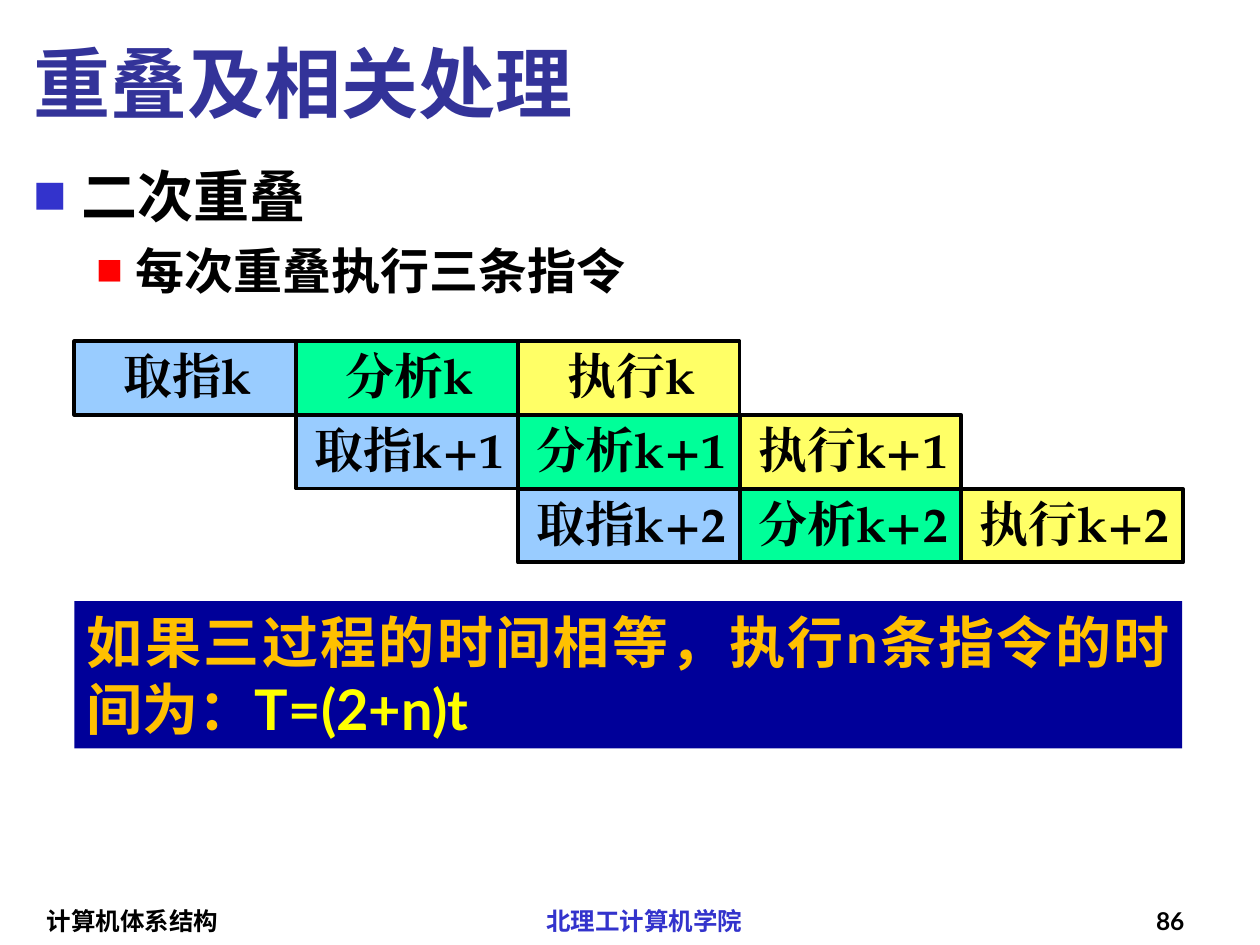
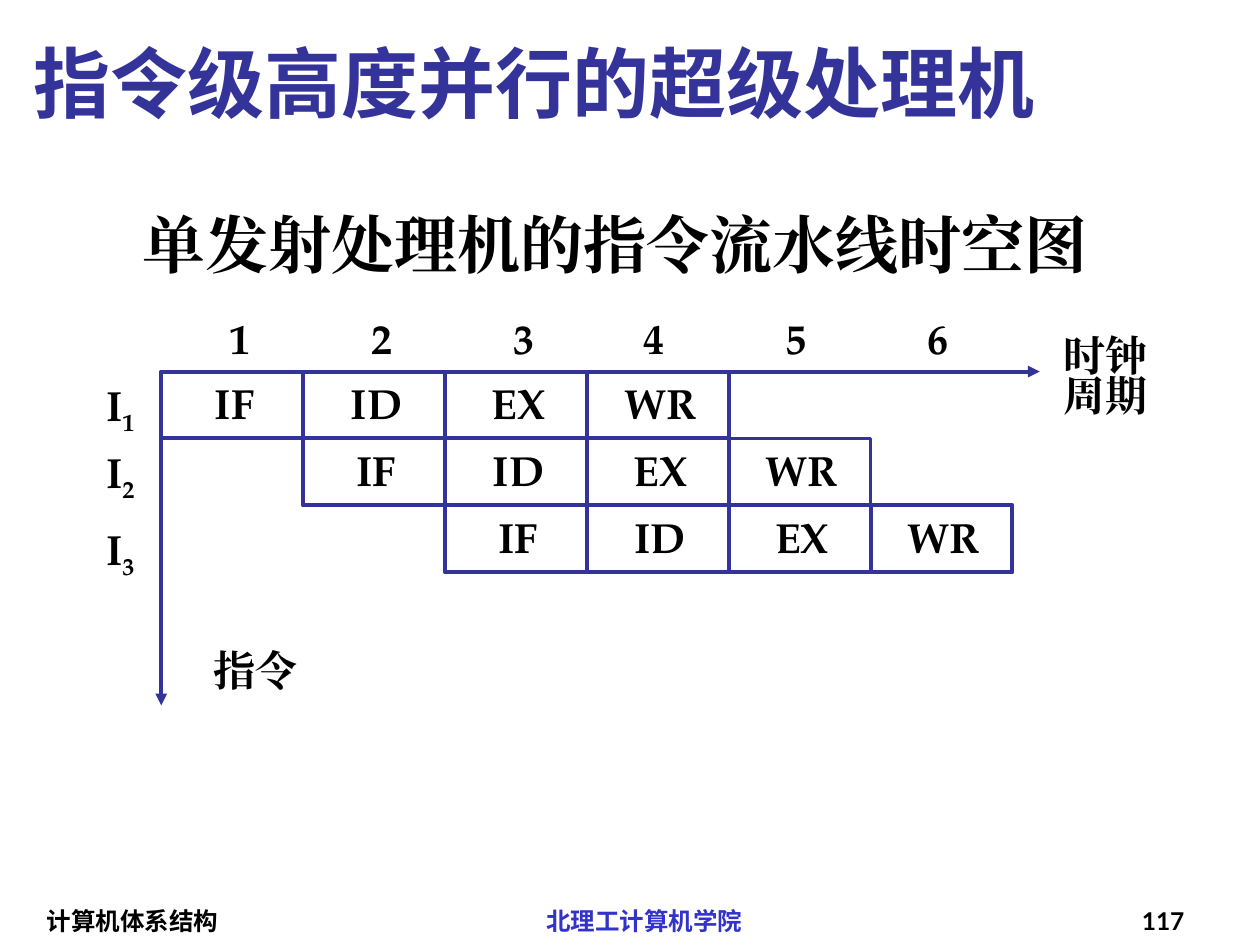
import dataclasses

import lxml.etree
import pptx
import pptx.dml.color
import pptx.enum.shapes
import pptx.enum.text
import pptx.oxml.ns
import pptx.util

Cm = pptx.util.Cm
Pt = pptx.util.Pt
ALIGN = pptx.enum.text.PP_ALIGN
ANCHOR = pptx.enum.text.MSO_ANCHOR
qn = pptx.oxml.ns.qn


@dataclasses.dataclass(frozen=True)
class Theme:
    ink: str = "000000"
    title: str = "333399"
    accent: str = "3333CC"
    red: str = "FF0000"
    band: str = "000099"
    gold: str = "FFC000"
    yellow: str = "FFFF00"
    stages: tuple = ("99CCFF", "00FF99", "FFFF66")
    sans: str = "Lato"
    serif: str = "TeX Gyre Pagella"
    cjk: str = "Noto Sans CJK SC"
    title_size: int = 44
    caption_size: int = 36
    large: int = 32
    medium: int = 28
    small: int = 24
    footer_size: int = 14
    line: float = 2.25


THEME = Theme()

# Content (lengths in centimetres; areas are left, top, width, height)
COURSE = "计算机体系结构"
SCHOOL = "北理工计算机学院"

OVERLAP = {
    "title": "重叠及相关处理",
    "number": "86",
    # text, size, bullet colour, bullet percent, indent, hanging, space before
    "points": [
        ("二次重叠", THEME.large, THEME.accent, 60, 0.97, 0.97, 0),
        ("每次重叠执行三条指令", THEME.medium, THEME.red, 55, 2.06, 0.79, 7),
    ],
    "stages": ["取指", "分析", "执行"],
    "instructions": ["k", "k+1", "k+2"],
    "band": [("如果三过程的时间相等，执行n条指令的时间为：", THEME.gold),
             ("T=(2+n)t", THEME.yellow)],
}

PIPELINE = {
    "title": "指令级高度并行的超级处理机",
    "number": "117",
    "caption": "单发射处理机的指令流水线时空图",
    "stages": ["IF", "ID", "EX", "WR"],
    # instruction number and top of its label
    "instructions": [("1", 7.49), ("2", 8.84), ("3", 10.39)],
    # cycle number and offset of its label from the column
    "cycles": [("1", 0.66), ("2", 0.66), ("3", 0.66),
               ("4", 0.43), ("5", 0.43), ("6", 0.43)],
    "time_axis": "时钟\v周期",
    "instruction_axis": "指令",
}


def rgb(value):
    return pptx.dml.color.RGBColor.from_string(value)


def style_span(span, size, color, face, east_face=None):
    """Bold text; the East Asian face follows the Latin one unless given."""
    span.font.size = Pt(size)
    span.font.bold = True
    span.font.color.rgb = rgb(color)
    span.font.name = face
    latin = span.font._element.find(qn("a:latin"))
    east = lxml.etree.Element(qn("a:ea"), typeface=east_face or face)
    latin.addnext(east)


def set_frame(shape, anchor, insets, wrap):
    frame = shape.text_frame
    frame.auto_size = pptx.enum.text.MSO_AUTO_SIZE.NONE
    frame.word_wrap = wrap
    frame.vertical_anchor = anchor
    (frame.margin_left, frame.margin_top,
     frame.margin_right, frame.margin_bottom) = map(Cm, insets)
    return frame


def add_text(page, area, text, size, color=THEME.ink, face=THEME.sans,
             align=ALIGN.LEFT, anchor=ANCHOR.BOTTOM, east_face=None):
    box = page.shapes.add_textbox(*map(Cm, area))
    frame = set_frame(box, anchor, (0.25, 0.13, 0.25, 0.13), True)
    frame.text = text
    para = frame.paragraphs[0]
    para.alignment = align
    style_span(para.runs[0], size, color, face, east_face)
    return box


def fill_label(shape, text, size):
    """Centred serif label used throughout the diagrams."""
    frame = set_frame(shape, ANCHOR.MIDDLE, (0.2, 0.1, 0.1, 0), False)
    frame.text = text
    para = frame.paragraphs[0]
    para.alignment = ALIGN.CENTER
    para.line_spacing = 0.8
    for span in para.runs:
        style_span(span, size, THEME.ink, THEME.serif)
    return para


def add_label(page, area, text, size=THEME.small):
    return fill_label(page.shapes.add_textbox(*map(Cm, area)), text, size)


def add_rectangle(page, area, fill=None, line=None):
    shape = page.shapes.add_shape(
        pptx.enum.shapes.MSO_SHAPE.RECTANGLE, *map(Cm, area))
    shape.shadow.inherit = False
    if fill:
        shape.fill.solid()
        shape.fill.fore_color.rgb = rgb(fill)
    else:
        shape.fill.background()
    if line:
        shape.line.color.rgb = rgb(line)
        shape.line.width = Pt(THEME.line)
    else:
        shape.line.fill.background()
    return shape


def add_stagger(page, rows, origin, step, height, size, line, fills=None):
    """Rows of stages, each row starting one column further right."""
    left, top = origin
    step_x, step_y = step
    for row, labels in enumerate(rows):
        for column, label in enumerate(labels):
            area = (left + (row + column) * step_x, top + row * step_y,
                    step_x, height)
            fill = fills[column] if fills else None
            fill_label(add_rectangle(page, area, fill, line), label, size)


def add_arrow(page, start, end):
    arrow = page.shapes.add_connector(
        pptx.enum.shapes.MSO_CONNECTOR.STRAIGHT, *map(Cm, start + end))
    arrow.line.color.rgb = rgb(THEME.title)
    arrow.line.width = Pt(THEME.line)
    line = arrow.line._get_or_add_ln()
    lxml.etree.SubElement(line, qn("a:tailEnd"), type="triangle")
    lxml.etree.SubElement(arrow._element.spPr, qn("a:effectLst"))


def add_bullet(para, color, percent, indent, hanging):
    properties = para._p.get_or_add_pPr()
    properties.set("marL", str(Cm(indent)))
    properties.set("indent", str(-Cm(hanging)))
    bullet_color = lxml.etree.SubElement(properties, qn("a:buClr"))
    lxml.etree.SubElement(bullet_color, qn("a:srgbClr"), val=color)
    lxml.etree.SubElement(properties, qn("a:buSzPct"), val=str(percent * 1000))
    lxml.etree.SubElement(properties, qn("a:buFont"), typeface=THEME.cjk)
    lxml.etree.SubElement(properties, qn("a:buChar"), char="■")


def add_page(deck, content, title_face):
    """Blank page with the shared title and footers."""
    page = deck.slides.add_slide(deck.slide_layouts[6])
    add_text(page, (0.43, 0.58, 24.41, 2.13), content["title"],
             THEME.title_size, THEME.title, title_face, east_face=THEME.sans)
    footers = [
        (0.69, 6.4, COURSE, THEME.ink, ALIGN.LEFT),
        (7.49, 11.0, SCHOOL, THEME.accent, ALIGN.CENTER),
        (18.85, 5.28, content["number"], THEME.ink, ALIGN.RIGHT),
    ]
    for left, width, text, color, align in footers:
        add_text(page, (left, 18.14, width, 0.84), text,
                 THEME.footer_size, color, align=align)
    return page


def build_overlap(deck):
    page = add_page(deck, OVERLAP, THEME.cjk)

    # Bullet points
    box = page.shapes.add_textbox(*map(Cm, (0.43, 3.12, 24.46, 3.4)))
    frame = set_frame(box, ANCHOR.TOP, (0.25, 0.13, 0.25, 0.13), True)
    frame.text = "\n".join(point[0] for point in OVERLAP["points"])
    for level, (para, point) in enumerate(
            zip(frame.paragraphs, OVERLAP["points"])):
        _, size, color, percent, indent, hanging, before = point
        para.level = level
        add_bullet(para, color, percent, indent, hanging)
        if before:
            para.space_before = Pt(before)
        style_span(para.runs[0], size, THEME.ink, THEME.sans)

    # Overlapped instructions
    rows = [[stage + name for stage in OVERLAP["stages"]]
            for name in OVERLAP["instructions"]]
    add_stagger(page, rows, (1.5, 6.88), (4.47, 1.49), 1.48,
                THEME.medium, THEME.ink, THEME.stages)

    # Conclusion band
    band = add_rectangle(page, (1.5, 12.12, 22.33, 2.97), THEME.band)
    frame = set_frame(band, ANCHOR.TOP, (0.25, 0.13, 0.25, 0.13), True)
    para = frame.paragraphs[0]
    para.alignment = ALIGN.JUSTIFY
    for text, color in OVERLAP["band"]:
        span = para.add_run()
        span.text = text
        style_span(span, THEME.large, color, THEME.sans)


def build_pipeline(deck):
    page = add_page(deck, PIPELINE, THEME.sans)
    left, top, step, height = 3.25, 7.49, 2.86, 1.35
    label_width = 1.75

    add_label(page, (2.79, 4.32, 19.1, height), PIPELINE["caption"],
              THEME.caption_size)

    # Space-time grid and axes
    rows = [PIPELINE["stages"]] * len(PIPELINE["instructions"])
    add_stagger(page, rows, (left, top), (step, height), height,
                THEME.small, THEME.title)
    add_arrow(page, (left, top), (20.96, top))
    add_arrow(page, (left, top), (left, 14.22))
    add_label(page, (20.8, 6.55, step, 2.11), PIPELINE["time_axis"])
    add_label(page, (3.68, 12.88, step, height), PIPELINE["instruction_axis"])

    # Cycle and instruction numbers
    for column, (cycle, offset) in enumerate(PIPELINE["cycles"]):
        add_label(page, (left + column * step + offset, 6.17,
                         label_width, height), cycle)
    for number, label_top in PIPELINE["instructions"]:
        para = add_label(page, (1.5, label_top, label_width, height), "I")
        span = para.add_run()
        span.text = number
        style_span(span, THEME.small, THEME.ink, THEME.serif)
        span.font._element.set("baseline", "-25000")


def main():
    deck = pptx.Presentation()
    deck.slide_width, deck.slide_height = Cm(25.4), Cm(19.05)
    build_overlap(deck)
    build_pipeline(deck)
    deck.save("out.pptx")


if __name__ == "__main__":
    main()
